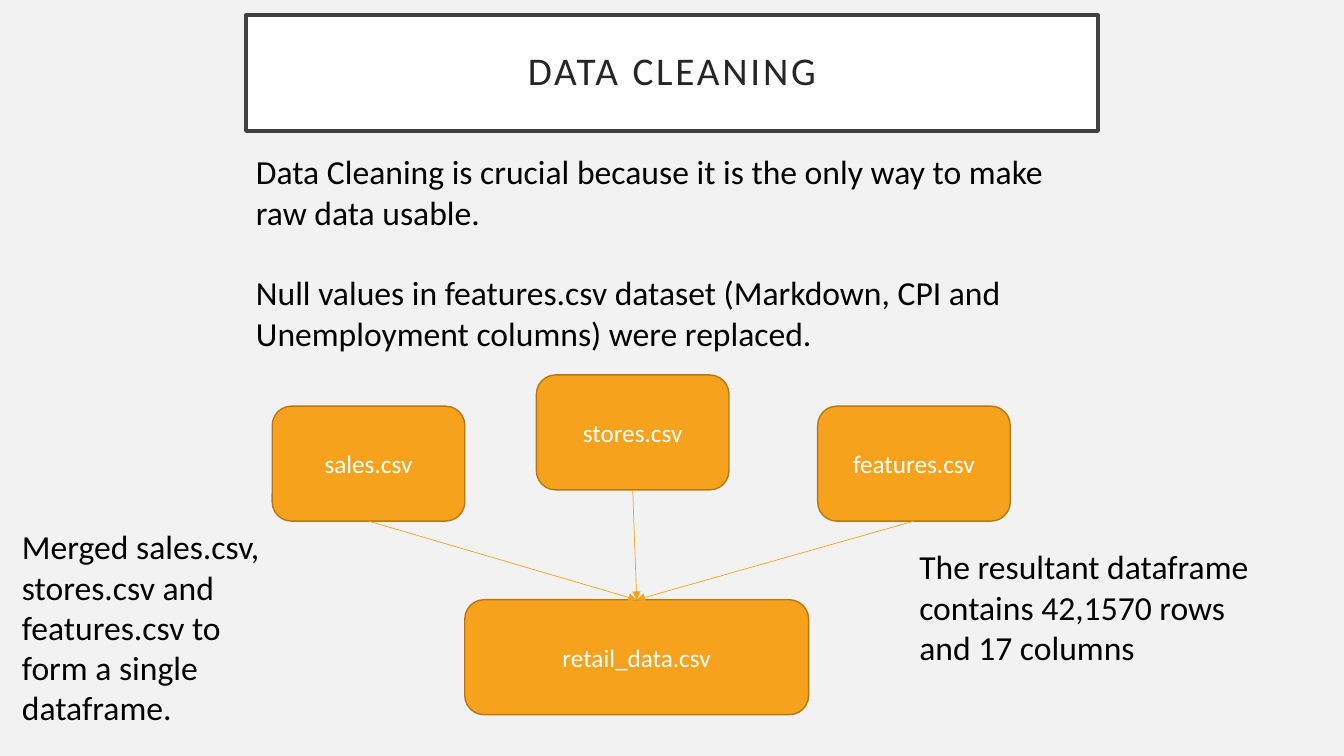
from dataclasses import dataclass

from pptx import Presentation
from pptx.dml.color import RGBColor
from pptx.enum.shapes import MSO_CONNECTOR as Link, MSO_SHAPE as Kind
from pptx.enum.text import MSO_ANCHOR as Anchor, PP_ALIGN as Align
from pptx.oxml.ns import qn
from pptx.util import Emu, Pt
from lxml.etree import SubElement

SCALE = 9144
ORANGE, BROWN = "F6A21D", "B67815"
TOP, BOTTOM = 0, 2


@dataclass(frozen=True)
class Box:
    text: str
    left: int
    top: int
    width: int = 191
    height: int = 114


FILES = [
    Box("sales.csv", 270, 403),
    Box("stores.csv", 532, 372),
    Box("features.csv", 811, 403),
]
MERGED = Box("retail_data.csv", 461, 595, 341)
NOTES = [
    Box("Data Cleaning is crucial because it is the only way to make raw data usable.\n"
        "Null values in features.csv dataset (Markdown, CPI and Unemployment columns) "
        "were replaced.", 244, 145, 845, 333),
    Box("The resultant dataframe contains 42,1570 rows and 17 columns", 902, 537, 363, 131),
    Box("Merged sales.csv, stores.csv and features.csv to form a single dataframe.",
        12, 517, 266, 242),
]


def px(size: int) -> Emu:
    return Emu(size * SCALE)


def color(code: str) -> RGBColor:
    return RGBColor.from_string(code)


def place(box: Box) -> tuple:
    return px(box.left), px(box.top), px(box.width), px(box.height)


def write(shape, text: str, *, size: int, ink: str, align=Align.LEFT, anchor=Anchor.TOP,
          gap: int = 0, lead: float = 1.0, track: int = 0) -> None:
    frame = shape.text_frame
    frame.word_wrap = True
    frame.vertical_anchor = anchor
    for i, part in enumerate(text.split("\n")):
        para = frame.add_paragraph() if i else frame.paragraphs[0]
        para.alignment = align
        para.line_spacing = lead
        para.space_before = Pt(gap if i else 0)
        run = para.add_run()
        run.text = part
        run.font.name = "Calibri"
        run.font.size = Pt(size)
        run.font.color.rgb = color(ink)
        if track:
            run.font._element.set("spc", str(track * 100))


def paint(shape, fill: str, edge: str, width: float) -> None:
    shape.fill.solid()
    shape.fill.fore_color.rgb = color(fill)
    shape.line.color.rgb = color(edge)
    shape.line.width = Pt(width)


def head(slide, box: Box) -> None:
    title = slide.shapes.title
    title.left, title.top, title.width, title.height = place(box)
    paint(title, "FFFFFF", "404040", 2.5)
    frame = title.text_frame
    frame.margin_left = frame.margin_right = px(20)
    frame.margin_top = frame.margin_bottom = px(20)
    write(title, box.text, size=28, ink="262626", align=Align.CENTER,
          anchor=Anchor.MIDDLE, lead=0.9, track=2)


def node(slide, box: Box):
    shape = slide.shapes.add_shape(Kind.ROUNDED_RECTANGLE, *place(box))
    shape.shadow.inherit = False
    paint(shape, ORANGE, BROWN, 1)
    write(shape, box.text, size=18, ink="FFFFFF", align=Align.CENTER, anchor=Anchor.MIDDLE)
    return shape


def arrow(slide, start, end) -> None:
    link = slide.shapes.add_connector(Link.STRAIGHT, 0, 0, 0, 0)
    link.begin_connect(start, BOTTOM)
    link.end_connect(end, TOP)
    link.line.color.rgb = color(ORANGE)
    link.line.width = Pt(0.5)
    props = link._element.spPr
    SubElement(props.find(qn("a:ln")), qn("a:tailEnd"), type="triangle")
    SubElement(props, qn("a:effectLst"))


def note(slide, box: Box) -> None:
    shape = slide.shapes.add_textbox(*place(box))
    write(shape, box.text, size=24, ink="000000", gap=29)


def main() -> None:
    deck = Presentation()
    deck.slide_width, deck.slide_height = px(1333), px(750)
    slide = deck.slides.add_slide(deck.slide_layouts.get_by_name("Title Only"))
    slide.background.fill.solid()
    slide.background.fill.fore_color.rgb = color("F2F2F2")

    head(slide, Box("DATA CLEANING", 244, 15, 845, 115))
    parts = [node(slide, box) for box in FILES]
    whole = node(slide, MERGED)
    for part in parts:
        arrow(slide, part, whole)
    for box in NOTES:
        note(slide, box)
    deck.save("out.pptx")


if __name__ == "__main__":
    main()
